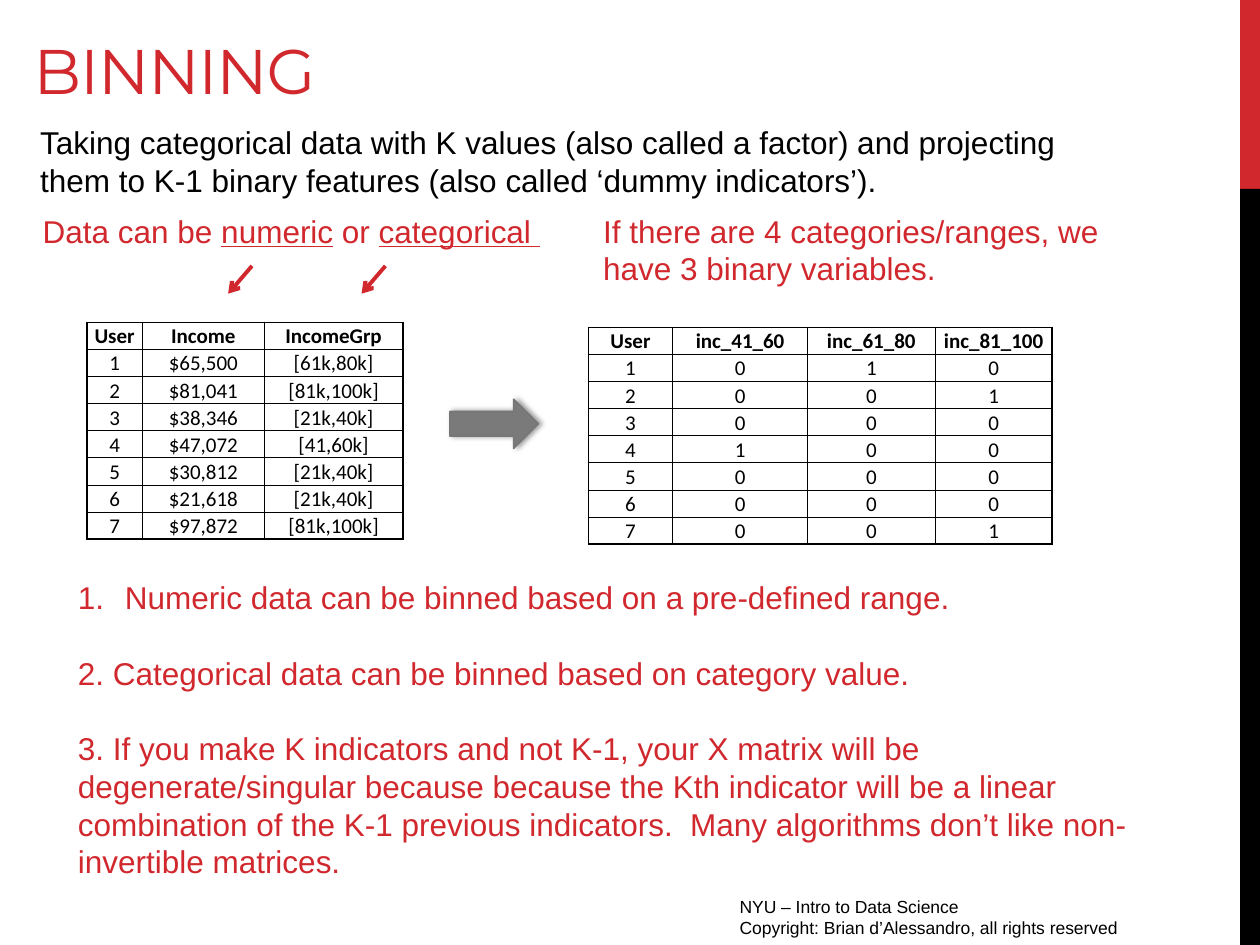
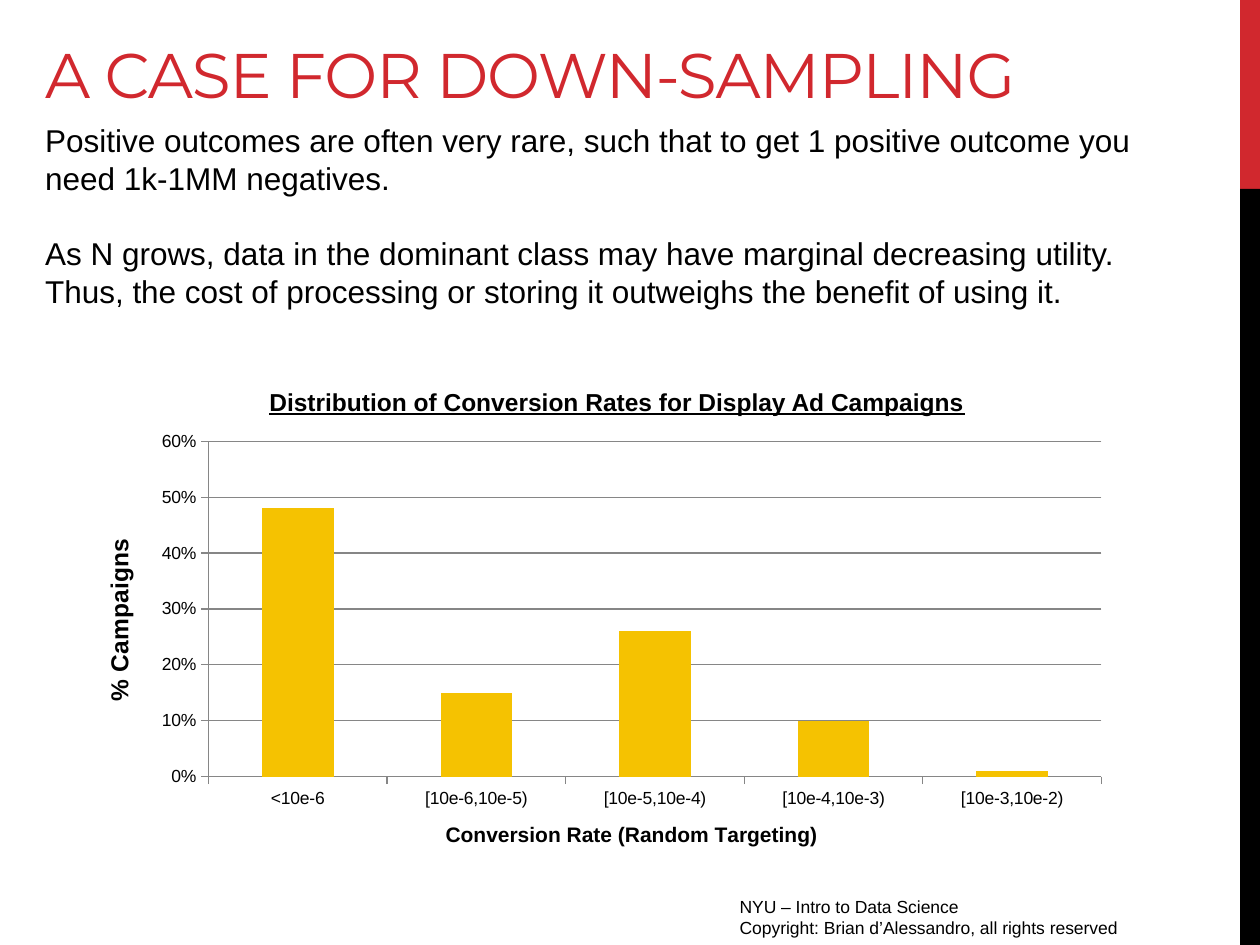
from lxml import etree
from pptx import Presentation
from pptx.chart.data import CategoryChartData
from pptx.dml.color import RGBColor
from pptx.enum.chart import XL_CHART_TYPE, XL_TICK_MARK
from pptx.enum.shapes import MSO_CONNECTOR, MSO_SHAPE
from pptx.enum.text import MSO_ANCHOR, PP_ALIGN
from pptx.oxml import parse_xml
from pptx.oxml.ns import nsdecls, qn
from pptx.util import Cm, Pt

RED = RGBColor(0xD1, 0x28, 0x2E)
BLACK = RGBColor(0x00, 0x00, 0x00)
GRAY = RGBColor(0x7A, 0x7A, 0x7A)
ARROW_EDGE = RGBColor(0x77, 0x77, 0x77)
GRID_GRAY = RGBColor(0x86, 0x86, 0x86)
GOLD = RGBColor(0xF5, 0xC2, 0x01)

RECTANGLE, RIGHT_ARROW = MSO_SHAPE.RECTANGLE, MSO_SHAPE.RIGHT_ARROW
STRAIGHT = MSO_CONNECTOR.STRAIGHT
TOP, BOTTOM = MSO_ANCHOR.TOP, MSO_ANCHOR.BOTTOM
CENTER = PP_ALIGN.CENTER
COLUMN_CLUSTERED = XL_CHART_TYPE.COLUMN_CLUSTERED
TICK_OUTSIDE = XL_TICK_MARK.OUTSIDE

BODY = {"name": "Arial", "size": Pt(18)}
FOOTER = {"name": "Arial", "size": Pt(10)}
TITLE = {"name": "Montserrat", "size": Pt(36)}
CHART_TITLE = {"name": "Arial", "size": Pt(14), "bold": True, "underline": True}
CELL = {"name": "Calibri", "size": Pt(12)}
BLANK_LINE = Pt(21.5)
TABLE_HEIGHT = 4.37

INCOME_ROWS = [
    ("User", "Income", "IncomeGrp"),
    ("1", "$65,500", "[61k,80k]"),
    ("2", "$81,041", "[81k,100k]"),
    ("3", "$38,346", "[21k,40k]"),
    ("4", "$47,072", "[41,60k]"),
    ("5", "$30,812", "[21k,40k]"),
    ("6", "$21,618", "[21k,40k]"),
    ("7", "$97,872", "[81k,100k]"),
]
INDICATOR_ROWS = [("User", "inc_41_60", "inc_61_80", "inc_81_100")] + [
    (str(user), *bits)
    for user, bits in enumerate(["010", "001", "000", "100", "000", "000", "001"], 1)
]
CONVERSION_SHARES = {
    "<10e-6": 0.48,
    "[10e-6,10e-5)": 0.15,
    "[10e-5,10e-4)": 0.26,
    "[10e-4,10e-3)": 0.10,
    "[10e-3,10e-2)": 0.01,
}


def format_font(font, values, color=BLACK):
    for name, value in values.items():
        setattr(font, name, value)
    font.color.rgb = color


def draw_border(cell_properties, position, side, width):
    border = parse_xml(
        f'<a:{side} {nsdecls("a")} w="{Pt(width)}"><a:solidFill>'
        f'<a:srgbClr val="{BLACK}"/></a:solidFill></a:{side}>'
    )
    cell_properties.insert(position, border)


class Deck:
    def __init__(self):
        self.presentation = Presentation()
        self.presentation.slide_width = Cm(25.4)
        self.presentation.slide_height = Cm(19.05)
        self.slide = None

    def start_slide(self, title, left, top):
        """Add a slide with the side bands, the footer and its title."""
        self.slide = self.presentation.slides.add_slide(
            self.presentation.slide_layouts[6])
        self.shape(RECTANGLE, 25, 0, 0.4, 3.81, RED)
        self.shape(RECTANGLE, 25, 3.81, 0.4, 15.24, BLACK)
        self.text(14.66, 17.93, 9.52, 0.79,
                  ["NYU – Intro to Data Science",
                   "Copyright: Brian d’Alessandro, all rights reserved"], FOOTER)
        paragraph = self.text(left, top, 24, 1.83, [title], TITLE, RED, BOTTOM)[0]
        paragraph.runs[0].font._element.set("spc", "-60")

    def shape(self, kind, left, top, width, height, fill, line=None):
        shape = self.slide.shapes.add_shape(
            kind, Cm(left), Cm(top), Cm(width), Cm(height))
        shape.shadow.inherit = False
        shape.fill.solid()
        shape.fill.fore_color.rgb = fill
        if line is None:
            shape.line.fill.background()
        else:
            shape.line.color.rgb = line
            shape.line.width = Pt(1)
        return shape

    def shadowed_arrow(self, left, top, width, height):
        arrow = self.shape(RIGHT_ARROW, left, top, width, height, GRAY, ARROW_EDGE)
        arrow._element.spPr.find(qn("a:effectLst")).append(parse_xml(
            f'<a:outerShdw {nsdecls("a")} blurRad="{Pt(3.1)}" dist="{Pt(1.8)}" dir="0">'
            f'<a:srgbClr val="{BLACK}"><a:alpha val="40000"/></a:srgbClr></a:outerShdw>'
        ))

    def text(self, left, top, width, height, paragraphs, style,
             color=BLACK, anchor=TOP, gap=Pt(0)):
        """Add a text box; a paragraph is a string or a list of (text, underline)."""
        frame = self.slide.shapes.add_textbox(
            Cm(left), Cm(top), Cm(width), Cm(height)).text_frame
        frame.word_wrap = True
        frame.vertical_anchor = anchor
        for index, content in enumerate(paragraphs):
            paragraph = frame.add_paragraph() if index else frame.paragraphs[0]
            if index:
                paragraph.space_before = gap
            runs = [(content, None)] if isinstance(content, str) else content
            for words, underline in runs:
                run = paragraph.add_run()
                run.text = words
                format_font(run.font, style, color)
                if underline:
                    run.font.underline = True
        return frame.paragraphs

    def number(self, paragraph, indent):
        properties = paragraph._p.get_or_add_pPr()
        properties.set("marL", str(Cm(indent)))
        properties.set("indent", str(-Cm(indent)))
        bullet = etree.SubElement(properties, qn("a:buAutoNum"))
        bullet.set("type", "arabicPeriod")

    def pointer(self, left, top):
        """Add a small arrow that points down and to the left."""
        connector = self.slide.shapes.add_connector(
            STRAIGHT, Cm(left), Cm(top), Cm(left - 0.48), Cm(top + 0.56))
        connector.line.color.rgb = RED
        connector.line.width = Pt(2.25)
        tail = etree.SubElement(connector.line._get_or_add_ln(), qn("a:tailEnd"))
        tail.set("type", "arrow")
        etree.SubElement(connector._element.spPr, qn("a:effectLst"))

    def table(self, left, top, widths, rows):
        table = self.slide.shapes.add_table(
            len(rows), len(widths), Cm(left), Cm(top),
            Cm(sum(widths)), Cm(TABLE_HEIGHT)).table
        table.first_row = table.horz_banding = False
        for column, width in zip(table.columns, widths):
            column.width = Cm(width)
        last_row, last_column = len(rows) - 1, len(widths) - 1
        for row, values in enumerate(rows):
            for column, value in enumerate(values):
                cell = table.cell(row, column)
                self.fill_cell(cell, value, bold=row == 0)
                on_edge = {"lnL": column == 0, "lnR": column == last_column,
                           "lnT": row == 0, "lnB": row == last_row}
                for position, (side, outer) in enumerate(on_edge.items()):
                    draw_border(cell._tc.get_or_add_tcPr(), position, side,
                                1 if outer else 0.5)

    def fill_cell(self, cell, value, bold):
        cell.fill.background()
        layout = {"margin_left": Cm(0.03), "margin_top": Cm(0.03),
                  "margin_right": Cm(0.03), "margin_bottom": 0,
                  "vertical_anchor": BOTTOM}
        for name, setting in layout.items():
            setattr(cell, name, setting)
        paragraph = cell.text_frame.paragraphs[0]
        paragraph.alignment = CENTER
        run = paragraph.add_run()
        run.text = value
        format_font(run.font, {**CELL, "bold": bold})

    def column_chart(self, left, top, width, height, shares):
        data = CategoryChartData(number_format="0%")
        data.categories = list(shares)
        data.add_series("Series 1", list(shares.values()))
        chart = self.slide.shapes.add_chart(
            COLUMN_CLUSTERED, Cm(left), Cm(top), Cm(width), Cm(height), data).chart
        chart.has_title = chart.has_legend = False
        format_font(chart.font, FOOTER)
        plot = chart.plots[0]
        plot.gap_width = 150
        plot.vary_by_categories = False
        fill = plot.series[0].format.fill
        fill.solid()
        fill.fore_color.rgb = GOLD
        self.axis(chart.category_axis, "Conversion Rate (Random Targeting)", 12)
        value_axis = chart.value_axis
        self.axis(value_axis, "% Campaigns", 14)
        scale = {"minimum_scale": 0, "maximum_scale": 0.6, "major_unit": 0.1,
                 "has_major_gridlines": True}
        for name, setting in scale.items():
            setattr(value_axis, name, setting)
        value_axis.major_gridlines.format.line.color.rgb = GRID_GRAY
        value_axis.tick_labels.number_format = "0%"
        value_axis.tick_labels.number_format_is_linked = False
        self.place_plot(chart, {"x": 0.13, "y": 0.04, "w": 0.85, "h": 0.74})

    def axis(self, axis, title, size):
        axis.major_tick_mark = TICK_OUTSIDE
        axis.format.line.color.rgb = GRID_GRAY
        paragraph = axis.axis_title.text_frame.paragraphs[0]
        run = paragraph.add_run()
        run.text = title
        format_font(run.font, {"name": "Arial", "size": Pt(size), "bold": True})

    def place_plot(self, chart, fractions):
        """Fix the inner plot area as fractions of the chart frame."""
        plot_area = chart._chartSpace.chart.plotArea
        for old_layout in plot_area.findall(qn("c:layout")):
            plot_area.remove(old_layout)
        settings = {"layoutTarget": "inner", "xMode": "edge", "yMode": "edge", **fractions}
        layout = etree.Element(qn("c:layout"))
        manual = etree.SubElement(layout, qn("c:manualLayout"))
        for name, value in settings.items():
            etree.SubElement(manual, qn(f"c:{name}")).set("val", str(value))
        plot_area.insert(0, layout)


def build_binning(deck):
    deck.start_slide("BINNING", 0.43, 0.46)
    deck.text(0.56, 2.36, 22.53, 1.8, [
        "Taking categorical data with K values (also called a factor) and projecting "
        "them to K-1 binary features (also called ‘dummy indicators’)."], BODY)
    deck.table(1.75, 6.5, [1.12, 2.46, 2.79], INCOME_ROWS)
    deck.table(11.86, 6.6, [1.7, 2.72, 2.57, 2.36], INDICATOR_ROWS)
    deck.text(0.61, 4.14, 11.28, 1.02, [
        [("Data can be ", False), ("numeric", True),
         (" or ", False), ("categorical ", True)]], BODY, RED)
    for left in (5.08, 7.77):
        deck.pointer(left, 5.36)
    deck.shadowed_arrow(9.07, 8.05, 1.78, 0.99)
    notes = deck.text(1.32, 11.53, 21.69, 6.4, [
        "Numeric data can be binned based on a pre-defined range.",
        "2. Categorical data can be binned based on category value.",
        "3. If you make K indicators and not K-1, your X matrix will be "
        "degenerate/singular because because the Kth indicator will be a linear "
        "combination of the K-1 previous indicators.  Many algorithms don’t like "
        "non-invertible matrices."], BODY, RED, gap=BLANK_LINE)
    deck.number(notes[0], 0.95)
    deck.text(11.91, 4.14, 11.28, 1.8, [
        "If there are 4 categories/ranges, we have 3 binary variables."], BODY, RED)


def build_down_sampling(deck):
    deck.start_slide("A CASE FOR DOWN-SAMPLING", 0.66, 0.53)
    deck.text(0.66, 2.31, 22.53, 4.2, [
        "Positive outcomes are often very rare, such that to get 1 positive outcome "
        "you need 1k-1MM negatives.",
        "As N grows, data in the dominant class may have marginal decreasing utility. "
        "Thus, the cost of processing or storing it outweighs the benefit of using it."],
        BODY, gap=BLANK_LINE)
    deck.column_chart(1.45, 8.53, 21.18, 9.14, CONVERSION_SHARES)
    deck.text(5.18, 7.67, 16.46, 0.86, [
        "Distribution of Conversion Rates for Display Ad Campaigns"], CHART_TITLE)


def main():
    deck = Deck()
    build_binning(deck)
    build_down_sampling(deck)
    deck.presentation.save("out.pptx")


if __name__ == "__main__":
    main()
